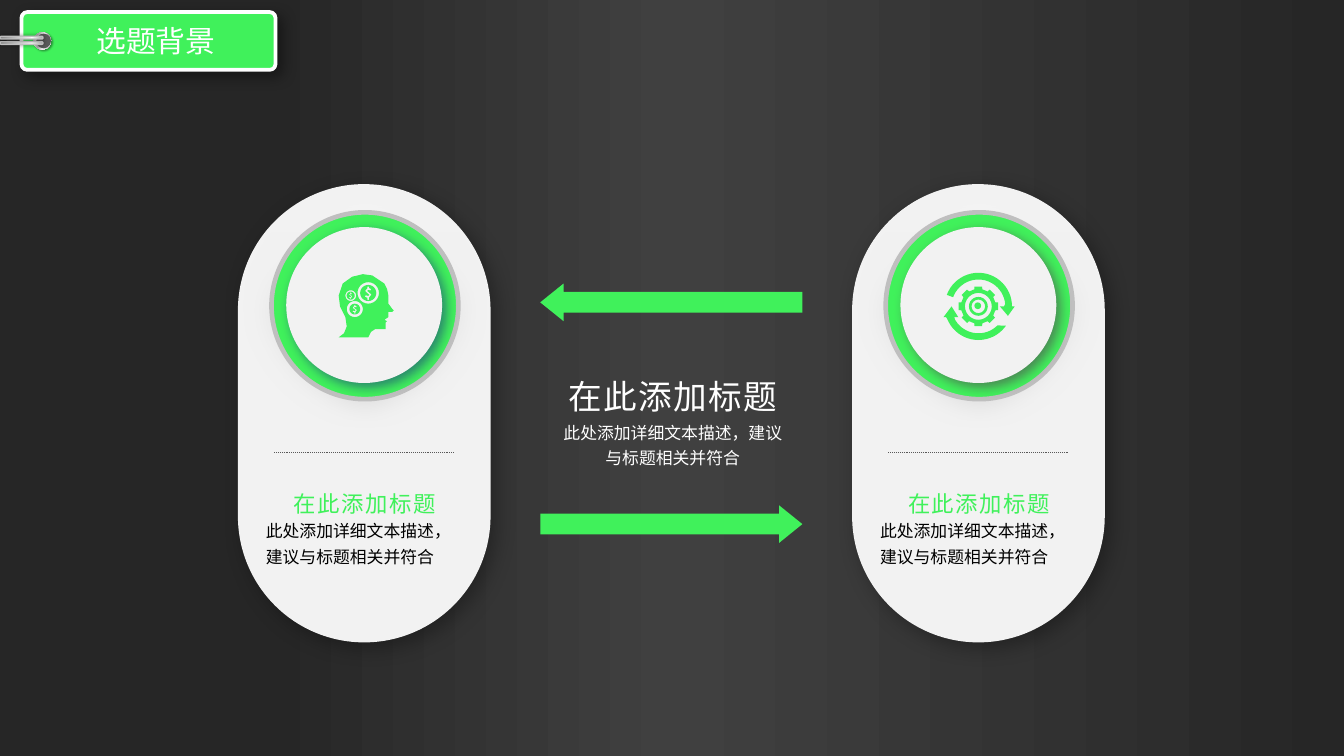
from math import cos, radians, sin

from lxml import etree
from pptx import Presentation
from pptx.dml.color import RGBColor
from pptx.enum.dml import MSO_LINE
from pptx.enum.shapes import MSO_CONNECTOR, MSO_SHAPE
from pptx.enum.text import MSO_ANCHOR, MSO_AUTO_SIZE, PP_ALIGN
from pptx.oxml.ns import qn
from pptx.util import Inches, Pt

OVAL, ROUNDED, ARROW = MSO_SHAPE.OVAL, MSO_SHAPE.ROUNDED_RECTANGLE, MSO_SHAPE.RIGHT_ARROW
STRAIGHT, DOTTED = MSO_CONNECTOR.STRAIGHT, MSO_LINE.ROUND_DOT
LEFT, CENTER, MIDDLE, TOP = PP_ALIGN.LEFT, PP_ALIGN.CENTER, MSO_ANCHOR.MIDDLE, MSO_ANCHOR.TOP
GROW = MSO_AUTO_SIZE.SHAPE_TO_FIT_TEXT

GREEN = RGBColor(0x40, 0xF1, 0x5B)
WHITE = RGBColor(0xFF, 0xFF, 0xFF)
BLACK = RGBColor(0, 0, 0)
PALE = RGBColor(0xF2, 0xF2, 0xF2)
SILVER = RGBColor(0xBF, 0xBF, 0xBF)
SLATE = RGBColor(0x59, 0x59, 0x59)
NAVY = RGBColor(0x1F, 0x4E, 0x79)
STONE = RGBColor(0x52, 0x52, 0x52)

CJK, LATIN = "Noto Sans CJK SC", "Arial"
HEADER = "选题背景"
HEADING = "在此添加标题"
BODY = "此处添加详细文本描述，建议与标题相关并符合"

BACKDROP = [(0, "262626"), (20, "262626"), (50, "404040"), (100, "262626")]
STEEL = [(0, "FFFFFF"), (17, "A6A6A6"), (35, "F2F2F2"), (55, "A6A6A6"), (75, "F2F2F2"), (100, "A6A6A6")]
ROD = [(0, "808080"), (23, "A6A6A6"), (52, "D9D9D9"), (74, "FFFFFF"), (100, "A6A6A6")]
HALO = [(0, "FFFFFF"), (100, "BFBFBF")]

PANELS = [(0, NAVY), (4.57, STONE)]
COINS = [(2.61, 2.20, 0.03, 0.04), (2.74, 2.18, 0.06, 0.08), (2.64, 2.30, 0.04, 0.06)]
HEAD = [
    (2.92, 2.30), (2.89, 2.26), (2.89, 2.20), (2.88, 2.15), (2.86, 2.11), (2.83, 2.09), (2.77, 2.05),
    (2.70, 2.04), (2.62, 2.06), (2.55, 2.11), (2.52, 2.20), (2.53, 2.28), (2.57, 2.36), (2.58, 2.43),
    (2.56, 2.48), (2.52, 2.51), (2.74, 2.51), (2.76, 2.47), (2.79, 2.45), (2.87, 2.45), (2.87, 2.40),
    (2.88, 2.39), (2.86, 2.38), (2.89, 2.36), (2.89, 2.32), (2.92, 2.32), (2.93, 2.31),
]
DOLLAR = [
    (0.1, 0.6), (0.1, 0.85), (-0.1, 0.85), (-0.1, 0.6), (-0.4, 0.5), (-0.35, 0.28), (0, 0.36),
    (0.13, 0.25), (0, 0.12), (-0.4, -0.25), (-0.1, -0.6), (-0.1, -0.8), (0.1, -0.8), (0.1, -0.62),
    (0.35, -0.5), (0.3, -0.3), (0, -0.37), (-0.12, -0.25), (0.05, -0.12), (0.4, 0.2),
]
GEAR_X, GEAR_Y = 7.28, 2.28
CYCLE = [
    ((-5, -160), (-160, -5), [(7.47, 2.28), (7.44, 2.28), (7.50, 2.35), (7.55, 2.28), (7.53, 2.28)]),
    ((157, 35), (45, 150), [(7.10, 2.36), (7.13, 2.36), (7.08, 2.28), (7.02, 2.36), (7.04, 2.36)]),
]


def add_element(parent, tag, **attributes):
    return etree.SubElement(parent, qn(tag), attributes)


def paint_gradient(fill, owner, stops, angle):
    fill.gradient()
    gradient = owner.find(".//" + qn("a:gradFill"))
    stop_list = gradient.find(qn("a:gsLst"))
    for stop in list(stop_list):
        stop_list.remove(stop)
    for position, color in stops:
        stop = add_element(stop_list, "a:gs", pos=str(position * 1000))
        add_element(stop, "a:srgbClr", val=color)
    gradient.find(qn("a:lin")).set("ang", str(angle * 60000))


def cast_shadow(shape, color, opacity, blur, distance, angle):
    effects = shape._element.spPr.find(qn("a:effectLst"))
    shadow = add_element(effects, "a:outerShdw", blurRad=str(Pt(blur)), dist=str(Pt(distance)),
                         dir=str(angle * 60000), algn="ctr", rotWithShape="0")
    tint = add_element(shadow, "a:srgbClr", val=str(color))
    add_element(tint, "a:alpha", val=str(opacity * 1000))


def style_shape(shape, fill=None, line=None, width=1):
    shape.shadow.inherit = False
    if fill is not None:
        shape.fill.solid()
        shape.fill.fore_color.rgb = fill
    if line is None:
        shape.line.fill.background()
    else:
        shape.line.color.rgb = line
        shape.line.width = Pt(width)
    return shape


def add_preset(kind, left, top, width, height, fill=None, line=None, line_width=1, adjust=()):
    shape = page.shapes.add_shape(kind, Inches(left), Inches(top), Inches(width), Inches(height))
    for index, value in enumerate(adjust):
        shape.adjustments[index] = value
    return style_shape(shape, fill, line, line_width)


def arc(x, y, radius, start, end, steps=24):
    angles = [radians(start + (end - start) * step / steps) for step in range(steps + 1)]
    return [(x + radius * cos(angle), y + radius * sin(angle)) for angle in angles]


def circle(x, y, radius):
    return arc(x, y, radius, 0, 360)


def add_outline(*contours):
    scaled = [[(Inches(x), Inches(y)) for x, y in contour] for contour in contours]
    builder = page.shapes.build_freeform(*scaled[0][0], scale=1.0)
    for index, contour in enumerate(scaled):
        if index:
            builder.move_to(*contour[0])
        builder.add_line_segments(contour[1:], close=True)
    style_shape(builder.convert_to_shape(), GREEN)


def write(box, text, size, color, font=LATIN, align=CENTER, spacing=None, tracking=0, anchor=TOP):
    frame = box.text_frame
    frame.word_wrap = True
    frame.auto_size = GROW
    frame.vertical_anchor = anchor
    para = frame.paragraphs[0]
    para.alignment = align
    if spacing:
        para.line_spacing = spacing
    span = para.add_run()
    span.text = text
    span.font.size = Pt(size)
    span.font.name = font
    span.font.color.rgb = color
    properties = span.font._element
    if tracking:
        properties.set("spc", str(int(tracking * 100)))
    add_element(properties, "a:ea", typeface=CJK)


def add_text(left, top, width, height, text, size, color, **options):
    box = page.shapes.add_textbox(Inches(left), Inches(top), Inches(width), Inches(height))
    write(box, text, size, color, **options)


def add_header():
    tag = add_preset(ROUNDED, 0.16, 0.09, 1.89, 0.43, GREEN, WHITE, 2, [0.1])
    cast_shadow(tag, BLACK, 40, 8, 4, 45)
    eyelet = add_preset(OVAL, 0.25, 0.24, 0.13, 0.13)
    paint_gradient(eyelet.fill, eyelet._element, STEEL, 45)
    cast_shadow(eyelet, BLACK, 40, 1, 1, 45)
    add_preset(OVAL, 0.27, 0.25, 0.11, 0.11, SLATE)
    for top in (0.16, 0.12):
        rod = add_preset(ROUNDED, 0.15, top, 0.02, 0.32, None, SILVER, 0.75, [0.5])
        rod.rotation = 270
        paint_gradient(rod.fill, rod._element, ROD, 90)
        cast_shadow(rod, BLACK, 40, 2, 0, 0)
    title = page.shapes.title
    title.left, title.top, title.width, title.height = map(Inches, (0.27, 0.12, 1.78, 0.37))
    write(title, HEADER, 16, WHITE, font=CJK, anchor=TOP)
    title._element.getparent().append(title._element)


def add_panel(offset, shade):
    card = add_preset(ROUNDED, 1.77 + offset, 1.37, 1.88, 3.41, PALE, adjust=[0.5])
    cast_shadow(card, BLACK, 29, 11, 4, 45)
    halo = add_preset(OVAL, 1.76 + offset, 1.32, 1.91, 1.91)
    paint_gradient(halo.fill, halo._element, HALO, 90)
    add_element(halo._element.spPr.find(qn("a:effectLst")), "a:softEdge", rad=str(Pt(18)))
    add_preset(OVAL, 2.02 + offset, 1.58, 1.39, 1.39, GREEN, SILVER, 2.5)
    disc = add_preset(OVAL, 2.13 + offset, 1.69, 1.16, 1.16, PALE)
    cast_shadow(disc, shade, 64, 6, 3, 45)
    add_text(1.88 + offset, 3.79, 1.67, 0.46, BODY, 9, BLACK, align=LEFT, spacing=1.25)
    add_text(1.75 + offset, 3.6, 1.93, 0.3, HEADING, 12, GREEN, tracking=0.8)
    divider = page.shapes.add_connector(STRAIGHT, Inches(2.04 + offset), Inches(3.37),
                                        Inches(3.38 + offset), Inches(3.37))
    divider.line.color.rgb = SLATE
    divider.line.width = Pt(0.5)
    divider.line.dash_style = DOTTED
    add_element(divider._element.spPr, "a:effectLst")


def add_center():
    for top, flipped in ((2.11, True), (3.76, False)):
        arrow = add_preset(ARROW, 4.02, top, 1.95, 0.28, GREEN, adjust=[0.55, 0.62])
        if flipped:
            arrow._element.spPr.find(qn("a:xfrm")).set("flipH", "1")
    add_text(4.07, 3.06, 1.87, 0.46, BODY, 9, WHITE, spacing=1.25)
    add_text(4.12, 2.75, 1.77, 0.4, HEADING, 18, WHITE, tracking=0.8)


def add_icons():
    add_outline(HEAD, *[circle(x, y, hole) for x, y, radius, hole in COINS])
    for x, y, radius, hole in COINS:
        add_outline(circle(x, y, radius), [(x + radius * dx, y + radius * dy) for dx, dy in DOLLAR])
    for outer, inner, head in CYCLE:
        add_outline(arc(GEAR_X, GEAR_Y, 0.25, *outer) + arc(GEAR_X, GEAR_Y, 0.2, *inner) + head)
    teeth = []
    for angle in range(0, 360, 45):
        for turn, radius in ((-13, 0.13), (-11, 0.15), (11, 0.15), (13, 0.13)):
            teeth += arc(GEAR_X, GEAR_Y, radius, angle + turn, angle + turn, 1)[:1]
    add_outline(teeth, circle(GEAR_X, GEAR_Y, 0.1))
    add_outline(circle(GEAR_X, GEAR_Y, 0.07), circle(GEAR_X, GEAR_Y, 0.05))
    add_preset(OVAL, 7.25, 2.25, 0.05, 0.05, GREEN)


deck = Presentation()
deck.slide_width = Inches(10)
deck.slide_height = deck.slide_width * 9 // 16
page = deck.slides.add_slide(deck.slide_layouts[5])
paint_gradient(page.background.fill, page._element, BACKDROP, 0)
add_header()
for panel in PANELS:
    add_panel(*panel)
add_center()
add_icons()
deck.save("out.pptx")
